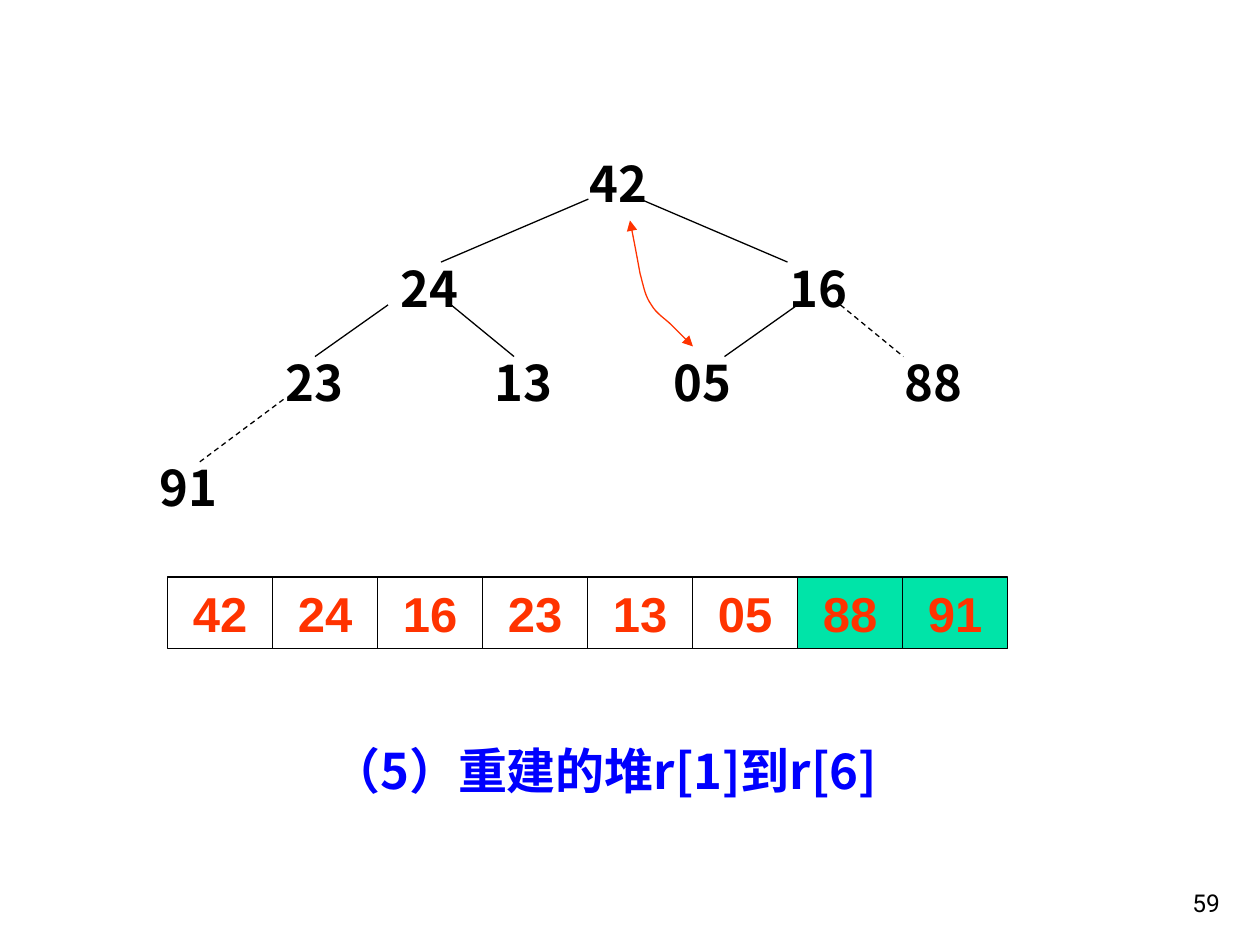
from pptx import Presentation
from pptx.dml.color import RGBColor
from pptx.enum.dml import MSO_LINE
from pptx.enum.shapes import MSO_CONNECTOR, MSO_SHAPE
from pptx.enum.text import MSO_ANCHOR, MSO_AUTO_SIZE, PP_ALIGN
from pptx.oxml.ns import qn
from pptx.util import Inches, Pt
from lxml.etree import SubElement

BLACK = RGBColor(0x00, 0x00, 0x00)
BLUE = RGBColor(0x00, 0x00, 0xFF)
RED = RGBColor(0xFF, 0x33, 0x00)
GREEN = RGBColor(0x00, 0xE4, 0xA8)

CJK_FONT = "Noto Sans CJK SC"
ROW_HEIGHT = 0.57

TREE_NODES = [
    ("42", 4.58, 1.17),
    ("24", 3.08, 2), ("16", 6.17, 2),
    ("23", 2.17, 2.75), ("13", 3.83, 2.75),
    ("05", 5.25, 2.75), ("88", 7.08, 2.75),
    ("91", 1.17, 3.58),
]
HEAP_EDGES = [
    (4.67, 1.58, 3.5, 2.08), (5.08, 1.58, 6.25, 2.08),
    (3.08, 2.42, 2.5, 2.83), (3.58, 2.42, 4.08, 2.83),
    (6.33, 2.42, 5.75, 2.83),
]
REMOVED_EDGES = [(6.67, 2.42, 7.17, 2.83), (2.25, 3.17, 1.58, 3.67)]
SWAP_START = (5.5, 2.75)
SWAP_CURVES = [
    (5.44, 2.69), (5.39, 2.64), (5.33, 2.58),
    (5.28, 2.53), (5.21, 2.49), (5.17, 2.42),
    (5.12, 2.35), (5.11, 2.28), (5.08, 2.17),
    (5.06, 2.06), (5.03, 1.9), (5, 1.75),
]
HEAP_SIZE = 6
CELL_LEFT, CELL_TOP, CELL_WIDTH = 1.33, 4.58, 5 / 6


def write_text(shape, text, color, font=CJK_FONT, size=28, bold=True,
               align=PP_ALIGN.LEFT):
    frame = shape.text_frame
    frame.text = text
    frame.word_wrap = True
    paragraph = frame.paragraphs[0]
    paragraph.alignment = align
    run = paragraph.runs[0]
    run.font.name = font
    run.font.size = Pt(size)
    run.font.bold = bold
    run.font.color.rgb = color
    SubElement(run.font._element, qn("a:ea"), typeface=font)
    return frame


def add_label(slide, text, left, top, width, color=BLACK, **style):
    label = slide.shapes.add_textbox(
        Inches(left), Inches(top), Inches(width), Inches(ROW_HEIGHT))
    frame = write_text(label, text, color, **style)
    frame.auto_size = MSO_AUTO_SIZE.SHAPE_TO_FIT_TEXT


def add_edge(slide, points, dashed=False):
    edge = slide.shapes.add_connector(
        MSO_CONNECTOR.STRAIGHT, *[Inches(value) for value in points])
    edge.line.color.rgb = BLACK
    edge.line.width = Pt(0.75)
    if dashed:
        edge.line.dash_style = MSO_LINE.DASH
    SubElement(edge._element.spPr, qn("a:effectLst"))


def add_array_cell(slide, index, value):
    cell = slide.shapes.add_shape(
        MSO_SHAPE.RECTANGLE, Inches(CELL_LEFT + index * CELL_WIDTH),
        Inches(CELL_TOP), Inches(CELL_WIDTH), Inches(ROW_HEIGHT))
    cell.shadow.inherit = False
    if index < HEAP_SIZE:
        cell.fill.background()
    else:
        cell.fill.solid()
        cell.fill.fore_color.rgb = GREEN
    cell.line.color.rgb = BLACK
    cell.line.width = Pt(0.75)
    frame = write_text(cell, value, RED, font="Arial", align=PP_ALIGN.CENTER)
    frame.vertical_anchor = MSO_ANCHOR.TOP
    frame.auto_size = MSO_AUTO_SIZE.SHAPE_TO_FIT_TEXT


def add_swap_arrow(slide):
    start, *controls = [(Inches(x), Inches(y))
                        for x, y in [SWAP_START, *SWAP_CURVES]]
    builder = slide.shapes.build_freeform(*start)
    builder.add_line_segments(controls, close=False)
    arrow = builder.convert_to_shape()
    arrow.shadow.inherit = False
    arrow.fill.background()
    arrow.line.color.rgb = RED
    arrow.line.width = Pt(0.75)

    segments = list(arrow._element.iter(qn("a:lnTo")))
    outline = segments[0].getparent()
    for first in range(0, len(segments), 3):
        curve = SubElement(outline, qn("a:cubicBezTo"))
        for segment in segments[first:first + 3]:
            curve.append(segment[0])
            outline.remove(segment)

    line_properties = arrow._element.spPr.find(qn("a:ln"))
    for end in ("a:headEnd", "a:tailEnd"):
        SubElement(line_properties, qn(end), type="triangle")


def add_page_number(slide):
    number = slide.shapes.add_textbox(
        Inches(7.7), Inches(6.83), Inches(2.08), Inches(0.5))
    frame = write_text(number, "59", BLACK, font="Roboto", size=14,
                       bold=False, align=PP_ALIGN.RIGHT)
    frame.vertical_anchor = MSO_ANCHOR.BOTTOM


def main():
    presentation = Presentation()
    presentation.slide_width = Inches(10)
    presentation.slide_height = Inches(7.5)
    slide = presentation.slides.add_slide(presentation.slide_layouts[6])

    add_label(slide, "（5）重建的堆r[1]到r[6]", 1.92, 5.83, 5.75, BLUE,
              align=PP_ALIGN.CENTER)
    for value, left, top in TREE_NODES:
        add_label(slide, value, left, top, 0.67)
    for points in HEAP_EDGES:
        add_edge(slide, points)
    for points in REMOVED_EDGES:
        add_edge(slide, points, dashed=True)
    for index, (value, _, _) in enumerate(TREE_NODES):
        add_array_cell(slide, index, value)
    add_swap_arrow(slide)
    add_page_number(slide)

    presentation.save("out.pptx")


if __name__ == "__main__":
    main()
